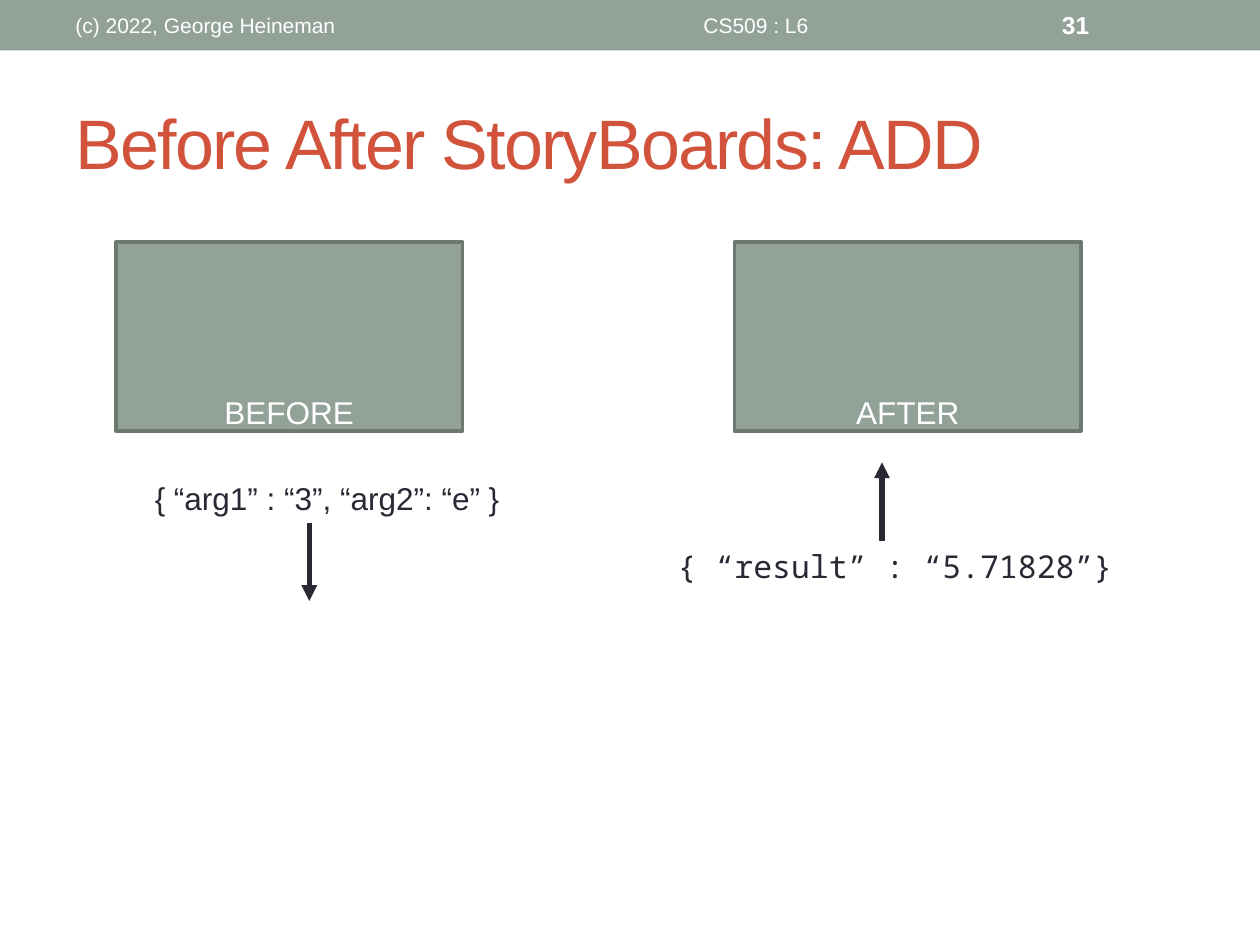
from dataclasses import dataclass

from lxml import etree
from pptx import Presentation
from pptx.dml.color import RGBColor
from pptx.enum.shapes import MSO_CONNECTOR, MSO_SHAPE
from pptx.enum.text import MSO_ANCHOR, MSO_AUTO_SIZE, PP_ALIGN
from pptx.oxml.ns import qn
from pptx.util import Inches, Pt

LEFT, CENTER = PP_ALIGN.LEFT, PP_ALIGN.CENTER
TOP, MIDDLE, BOTTOM = MSO_ANCHOR.TOP, MSO_ANCHOR.MIDDLE, MSO_ANCHOR.BOTTOM
GROW, FIXED = MSO_AUTO_SIZE.SHAPE_TO_FIT_TEXT, MSO_AUTO_SIZE.NONE
RECT, STRAIGHT = MSO_SHAPE.RECTANGLE, MSO_CONNECTOR.STRAIGHT


@dataclass(frozen=True)
class Theme:
    sage: str = "93A299"
    edge: str = "6D7871"
    ink: str = "292934"
    rust: str = "D2533C"
    white: str = "FFFFFF"
    font: str = "Arial"
    mono: str = "Noto Sans Mono"
    head: int = 40
    body: int = 18
    page: int = 14
    note: int = 12


class Board:
    def __init__(self, slide, theme):
        self.slide, self.theme = slide, theme

    def place(self, shape, area):
        for name, value in zip(("left", "top", "width", "height"), area):
            setattr(shape, name, Inches(value))

    def text(self, shape, words, size, color, font=None, bold=False,
             align=LEFT, **frame):
        box = shape.text_frame
        style = {"word_wrap": True, "auto_size": FIXED,
                 "vertical_anchor": MIDDLE, **frame}
        for name, value in style.items():
            setattr(box, name, value)
        line = box.paragraphs[0]
        line.alignment = align
        run = line.add_run()
        run.text = words
        style = {"name": font or self.theme.font, "size": Pt(size), "bold": bold}
        for name, value in style.items():
            setattr(run.font, name, value)
        run.font.color.rgb = RGBColor.from_string(color)
        return line, run

    def title(self, words, area):
        shape = self.slide.shapes.title
        self.place(shape, area)
        _, run = self.text(shape, words, self.theme.head, self.theme.rust)
        run._r.get_or_add_rPr().set("spc", "-100")

    def rect(self, area, edge=None):
        shape = self.slide.shapes.add_shape(RECT, *map(Inches, area))
        shape.shadow.inherit = False
        shape.fill.solid()
        shape.fill.fore_color.rgb = RGBColor.from_string(self.theme.sage)
        if edge:
            shape.line.color.rgb = RGBColor.from_string(edge)
            shape.line.width = Pt(2.08)
        else:
            shape.line.fill.background()
        return shape

    def panel(self, words, left):
        shape = self.rect((left, 1.92, 2.75, 1.5), self.theme.edge)
        self.text(shape, words, self.theme.body, self.theme.white,
                  align=CENTER, vertical_anchor=BOTTOM, margin_bottom=0)

    def label(self, words, area, size, color, **style):
        shape = self.slide.shapes.add_textbox(*map(Inches, area))
        line, _ = self.text(shape, words, size, color, **style)
        return shape, line

    def code(self, words, area, font):
        shape, line = self.label(words, area, self.theme.body, self.theme.ink,
                                 font=font, vertical_anchor=TOP, auto_size=GROW)
        props = line._p.get_or_add_pPr()
        props.set("marL", str(Inches(0.3)))
        props.set("indent", "0")
        return shape

    def arrow(self, x, start, end, source=None):
        link = self.slide.shapes.add_connector(
            STRAIGHT, *map(Inches, (x, start, x, end)))
        if source:
            link.begin_connect(source, 2)
            link.end_x = link.begin_x
        link.line.color.rgb = RGBColor.from_string(self.theme.ink)
        link.line.width = Pt(3)
        props = link._element.spPr
        etree.SubElement(props.find(qn("a:ln")), qn("a:tailEnd"), type="triangle")
        etree.SubElement(props, qn("a:effectLst"))


def main():
    deck = Presentation()
    deck.slide_width, deck.slide_height = Inches(10), Inches(7.5)
    theme = Theme()
    board = Board(deck.slides.add_slide(deck.slide_layouts[5]), theme)

    board.rect((0, 0, 10, 0.4))
    board.title("Before After StoryBoards: ADD", (0.5, 0.58, 9, 1.08))
    for words, left, width, size, style in (
        ("(c) 2022, George Heineman", 0.5, 3.17, theme.note, {}),
        ("CS509 : L6", 3.75, 4.5, theme.note, {"align": CENTER}),
        ("31", 8.33, 1.17, theme.page, {"bold": True}),
    ):
        board.label(words, (left, 0.02, width, 0.36), size, theme.white, **style)

    for words, left in (("BEFORE", 0.92), ("AFTER", 5.83)):
        board.panel(words, left)

    args = board.code("{ “arg1” : “3”, “arg2”: “e” }", (0.83, 3.75, 3.25, 0.4), theme.font)
    board.arrow(2.46, 4.15, 4.77, args)
    board.code("{ “result” : “5.71828”}", (4.98, 4.29, 4.52, 0.4), theme.mono)
    board.arrow(7, 4.29, 3.67)

    deck.save("out.pptx")


if __name__ == "__main__":
    main()
